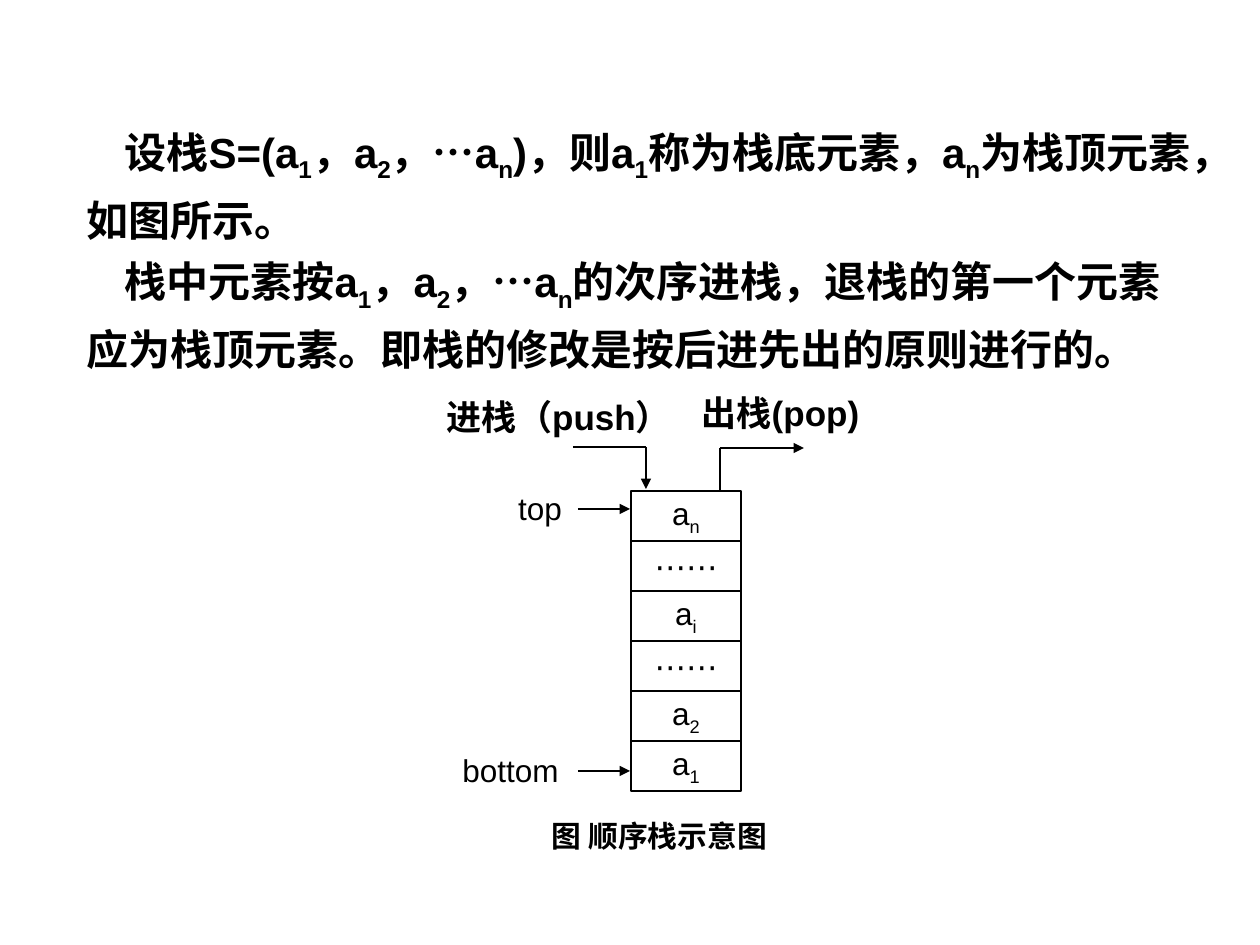
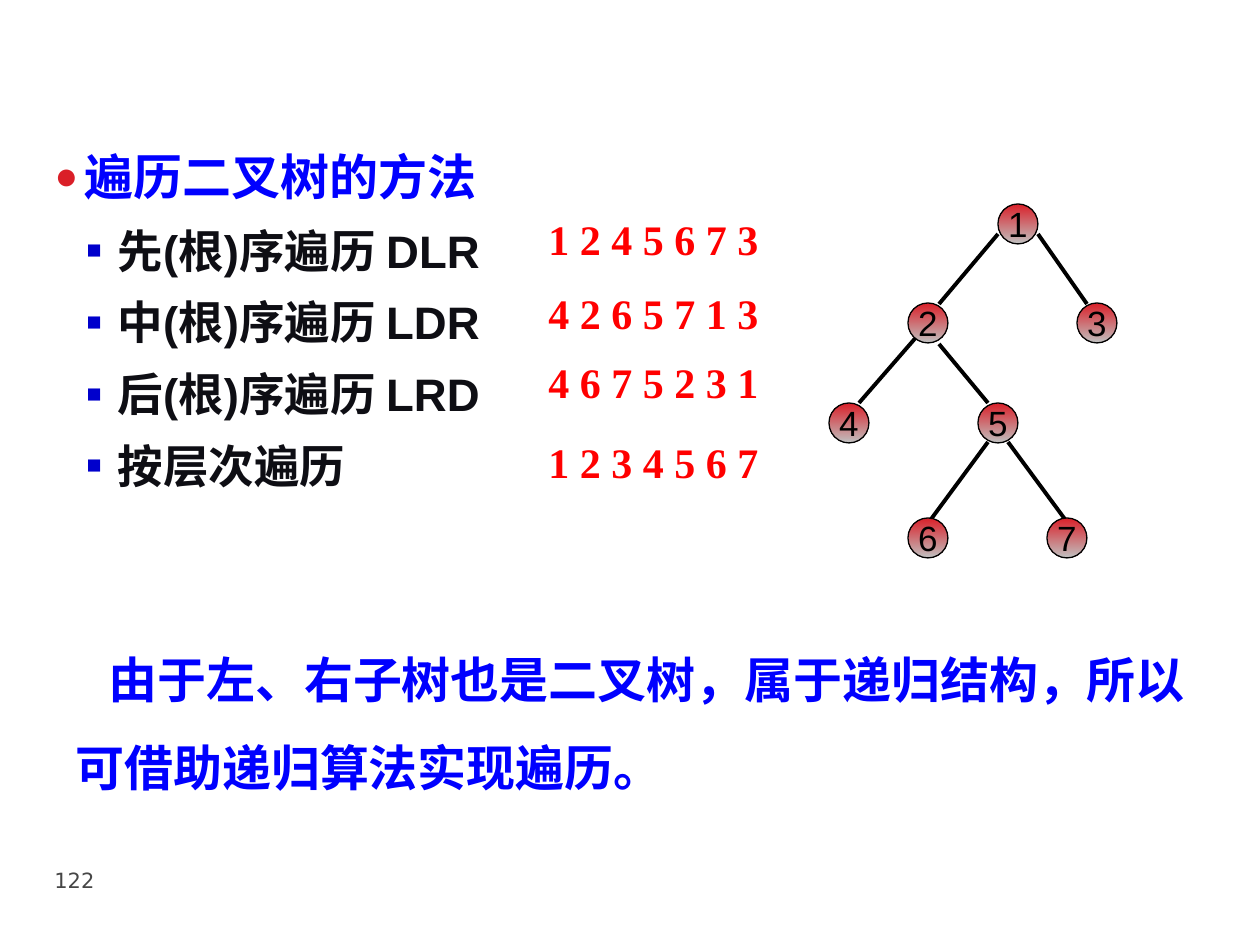
from lxml import etree
from pptx import Presentation
from pptx import util as u
from pptx.dml.color import RGBColor
from pptx.enum import shapes, text
from pptx.oxml.ns import qn

PX = 914400 / 126  # EMU in one px
BLACK = RGBColor(0x00, 0x00, 0x00)
INK = RGBColor(0x0E, 0x0E, 0x14)
GREY = RGBColor(0x46, 0x46, 0x46)
BLUE = RGBColor(0x00, 0x00, 0xFF)
DARK_BLUE = RGBColor(0x00, 0x00, 0xCC)
RED = RGBColor(0xFF, 0x00, 0x00)
CRIMSON = RGBColor(0xDA, 0x1F, 0x28)
SILVER = RGBColor(0xC0, 0xC0, 0xC0)
LATIN, CJK = "Arial", "Noto Sans CJK SC"
CENTER = text.PP_ALIGN.CENTER
MIDDLE, TOP = text.MSO_ANCHOR.MIDDLE, text.MSO_ANCHOR.TOP


def write(shape, lines, at=None, size=18, color=BLACK, font=LATIN, bold=False, align=None,
          anchor=TOP, wrap=False, line_pt=None, before=0, margin=0, indent=0, bullet=None, more=False):
    """Write lines into a shape; "_" makes the next character a subscript."""
    if at:
        shape.left, shape.top, shape.width, shape.height = (round(v * PX) for v in at)
    frame = shape.text_frame
    frame.auto_size = text.MSO_AUTO_SIZE.NONE
    frame.word_wrap, frame.vertical_anchor = wrap, anchor
    for number, line in enumerate(lines):
        first = number == 0 and not more
        para = frame.paragraphs[0] if first else frame.add_paragraph()
        props = para._p.get_or_add_pPr()
        props.set("marL", str(round(margin * PX)))
        props.set("indent", str(round(indent * PX)))
        if bullet:
            char, tint, percent = bullet
            tint_el = etree.SubElement(props, qn("a:buClr"))
            etree.SubElement(tint_el, qn("a:srgbClr"), val=str(tint))
            etree.SubElement(props, qn("a:buSzPct"), val=str(percent * 1000))
            etree.SubElement(props, qn("a:buFont"), typeface=LATIN)
            etree.SubElement(props, qn("a:buChar"), char=char)
        else:
            etree.SubElement(props, qn("a:buNone"))
        para.alignment = align
        para.space_before = u.Pt(0 if first else before)
        if line_pt:
            para.line_spacing = u.Pt(line_pt)
        head, *tails = line.split("_")
        pieces = [(head, False)]
        for tail in tails:
            pieces += [(tail[0], True), (tail[1:], False)]
        for piece, lowered in pieces:
            if not piece:
                continue
            run = para.add_run()
            run.text = piece
            run.font.size, run.font.bold, run.font.name = u.Pt(size), bold, font
            run.font.color.rgb = color
            etree.SubElement(run._r.rPr, qn("a:ea"), typeface=CJK)
            if lowered:
                run._r.rPr.set("baseline", "-25000")


def connect(slide, x1, y1, x2, y2, weight, arrow=False):
    line = slide.shapes.add_connector(
        shapes.MSO_CONNECTOR.STRAIGHT, *(round(v * PX) for v in (x1, y1, x2, y2)))
    line.line.color.rgb, line.line.width = BLACK, u.Pt(weight)
    if arrow:
        etree.SubElement(line.line._get_or_add_ln(), qn("a:tailEnd"), type="triangle")
    etree.SubElement(line._element.spPr, qn("a:effectLst"))


prs = Presentation()
prs.slide_width, prs.slide_height = u.Inches(10), u.Inches(7.5)
stack_slide, tree_slide = [prs.slides.add_slide(prs.slide_layouts[1]) for _ in range(2)]
for slide in (stack_slide, tree_slide):
    title = slide.shapes.title._element
    title.getparent().remove(title)

# Slide 1: definition of the stack
write(stack_slide.placeholders[1], [
    "设栈S=(a_1，a_2，…a_n)，则a_1称为栈底元素，a_n为栈顶元素，如图所示。",
    "栈中元素按a_1，a_2，…a_n的次序进栈，退栈的第一个元素应为栈顶元素。即栈的修改是按后进先出的原则进行的。",
], at=(74, 116, 1132, 292), size=24, bold=True, wrap=True, line_pt=35, before=4, indent=38)

# Stack cells, top to bottom
CELL_TOP, CELL_H = 491, 50
for row, item in enumerate(["a_n", "⋯⋯", "a_i", "⋯⋯", "a_2", "a_1"]):
    cell = stack_slide.shapes.add_shape(shapes.MSO_SHAPE.RECTANGLE, 0, 0, 0, 0)
    cell.shadow.inherit = False
    cell.fill.background()
    cell.line.color.rgb, cell.line.width = BLACK, u.Pt(0.75)
    write(cell, [item], at=(631, CELL_TOP + row * CELL_H, 110, CELL_H), align=CENTER, anchor=MIDDLE)

# Labels and caption
for label, at, size, bold in [
    ("进栈（push）", (460, 392, 198, 49), 20, True),
    ("出栈(pop)", (701, 388, 159, 49), 20, True),
    ("top", (490, 478, 100, 59), 18, False),
    ("bottom", (441, 740, 139, 59), 18, False),
    ("图 顺序栈示意图", (481, 809, 357, 53), 17, True),
]:
    write(stack_slide.shapes.add_textbox(0, 0, 0, 0), [label], at=at, size=size, bold=bold,
          align=CENTER, anchor=MIDDLE)

# Pointers, then push and pop paths
for x1, y1, x2, y2, weight, arrow in [
    (578, 509, 630, 509, 1.5, True),
    (578, 771, 630, 771, 1.5, True),
    (573, 447, 646, 447, 0.75, False),
    (646, 447, 646, 489, 0.75, True),
    (720, 490, 720, 448, 0.75, False),
    (720, 448, 804, 448, 0.75, True),
]:
    connect(stack_slide, x1, y1, x2, y2, weight, arrow)

# Slide 2: traversal methods
methods = tree_slide.placeholders[1]
write(methods, ["遍历二叉树的方法"], at=(42, 136, 814, 358), size=28, color=BLUE, bold=True,
      wrap=True, line_pt=36, margin=30, indent=-30, bullet=("●", CRIMSON, 80))
write(methods, ["先(根)序遍历 DLR", "中(根)序遍历 LDR", "后(根)序遍历 LRD", "按层次遍历"],
      size=26, color=INK, bold=True, wrap=True, line_pt=31, before=10, margin=63, indent=-31,
      bullet=("■", DARK_BLUE, 55), more=True)
for para in methods.text_frame.paragraphs[1:]:
    para.level = 1

# Visiting orders
for order, top in [("1 2 4 5 6 7 3", 207), ("4 2 6 5 7 1 3", 281),
                   ("4 6 7 5 2 3 1", 350), ("1 2 3 4 5 6 7", 430)]:
    write(tree_slide.shapes.add_textbox(0, 0, 0, 0), [order], at=(536, top, 234, 63),
          size=24, color=RED, font="Times New Roman", bold=True)

# Conclusion and page number
write(tree_slide.shapes.add_textbox(0, 0, 0, 0),
      ["由于左、右子树也是二叉树，属于递归结构，所以可借助递归算法实现遍历。"],
      at=(63, 615, 1142, 189), size=28, color=BLUE, bold=True, wrap=True, line_pt=50, indent=33)
write(tree_slide.shapes.add_textbox(0, 0, 0, 0), ["122"], at=(42, 861, 315, 66),
      size=12, color=GREY, font="DejaVu Sans", wrap=True)

# Binary tree: edges, then nodes by centre
for edge in [(998, 234, 939, 304), (1038, 234, 1087, 304), (919, 334, 859, 403),
             (939, 344, 988, 403), (988, 442, 929, 522), (1008, 442, 1067, 522)]:
    connect(tree_slide, *edge, 2.25)

NODE = 40
centres = [(1018, 224), (928, 323), (1097, 323), (849, 423), (998, 423), (928, 538), (1067, 538)]
for number, (x, y) in enumerate(centres, 1):
    node = tree_slide.shapes.add_shape(shapes.MSO_SHAPE.OVAL, 0, 0, 0, 0)
    node.shadow.inherit = False
    node.fill.gradient()
    node.fill.gradient_angle = 270
    for stop, color, position in zip(node.fill.gradient_stops, (CRIMSON, SILVER), (0, 1)):
        stop.color.rgb, stop.position = color, position
    node.line.color.rgb, node.line.width = BLACK, u.Pt(0.75)
    write(node, [str(number)], at=(x - NODE // 2, y - NODE // 2, NODE, NODE), size=20,
          align=CENTER, anchor=MIDDLE)

prs.save("out.pptx")
